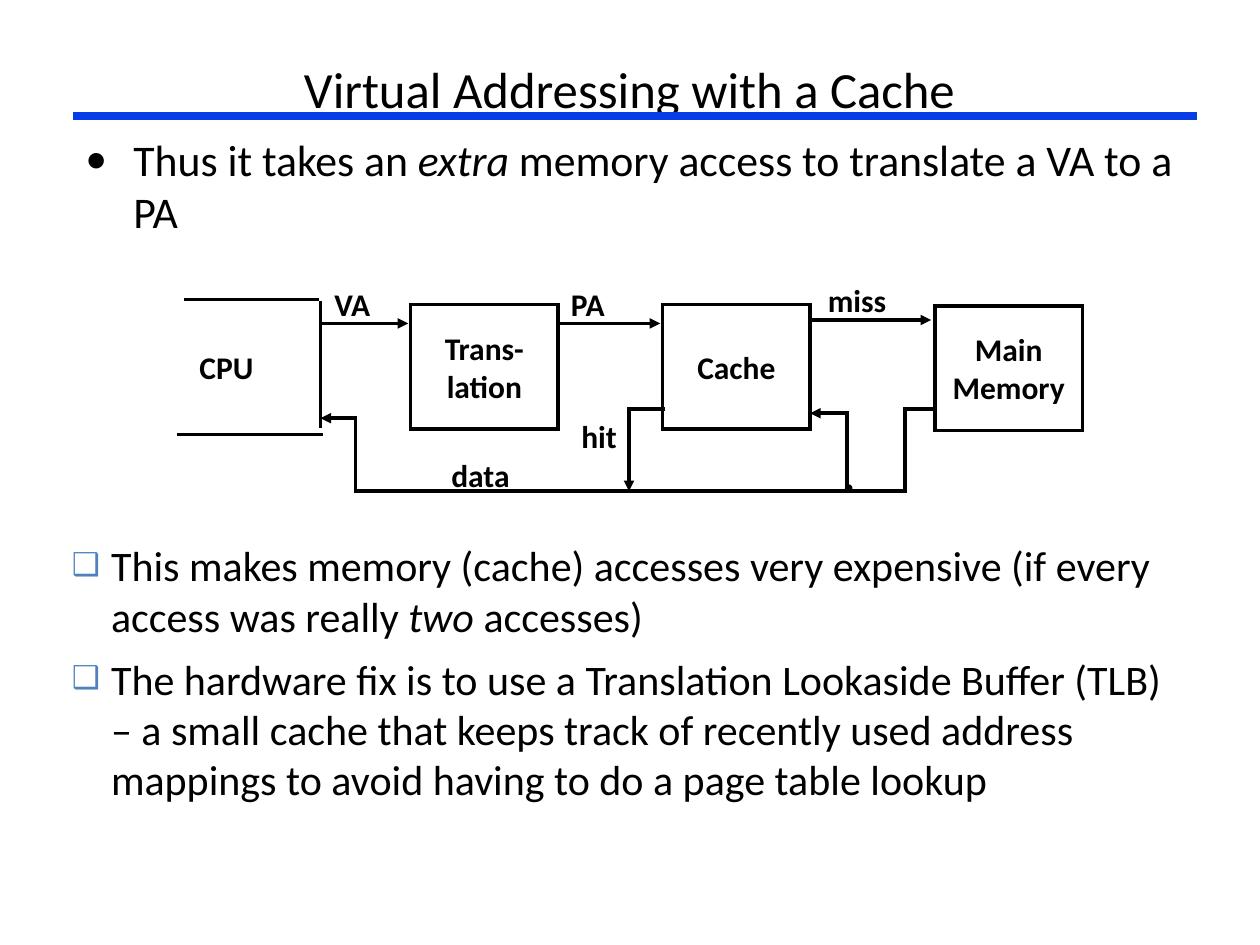
from dataclasses import dataclass
from itertools import pairwise

from lxml import etree
from pptx import Presentation
from pptx.dml.color import RGBColor
from pptx.enum.shapes import MSO_CONNECTOR, MSO_SHAPE
from pptx.enum.text import MSO_ANCHOR, MSO_AUTO_SIZE, PP_ALIGN
from pptx.oxml.ns import qn
from pptx.util import Cm, Pt

STRAIGHT = MSO_CONNECTOR.STRAIGHT
RECT, OVAL = MSO_SHAPE.RECTANGLE, MSO_SHAPE.OVAL
TOP, MIDDLE = MSO_ANCHOR.TOP, MSO_ANCHOR.MIDDLE
LEFT, CENTER = PP_ALIGN.LEFT, PP_ALIGN.CENTER
GROW, FIXED = MSO_AUTO_SIZE.SHAPE_TO_FIT_TEXT, MSO_AUTO_SIZE.NONE


@dataclass(frozen=True)
class Theme:
    """Font, colours and sizes of the slide."""
    font: str = "Calibri"
    ink: str = "000000"
    bar: str = "063DE8"
    accent: str = "4F81BD"
    title: int = 29
    lead: int = 25
    body: int = 24
    label: int = 18
    wire: float = 2
    rule: float = 4.5


THEME = Theme()
WIDE_INSET, TIGHT_INSET = (0.25, 0.13), (0.18, 0.08)


def rgb(value):
    """Return a colour from its hex digits."""
    return RGBColor.from_string(value)


def add_bullet(p, char, indent, color, percent):
    """Give a paragraph a hanging bullet."""
    pPr = p._p.get_or_add_pPr()
    pPr.set("marL", str(Cm(indent)))
    pPr.set("indent", str(-Cm(indent)))
    clr = etree.SubElement(pPr, qn("a:buClr"))
    etree.SubElement(clr, qn("a:srgbClr"), val=color)
    etree.SubElement(pPr, qn("a:buSzPct"), val=str(percent * 1000))
    etree.SubElement(pPr, qn("a:buFont"), typeface=THEME.font)
    etree.SubElement(pPr, qn("a:buChar"), char=char)


def write(sp, text, size, bold=False, align=LEFT, anchor=TOP, inset=WIDE_INSET,
          wrap=True, auto=FIXED, spacing=None, gap=0, bullet=None):
    """Fill a shape with text, one paragraph a line, *italic* between stars."""
    tf = sp.text_frame
    tf.word_wrap, tf.auto_size, tf.vertical_anchor = wrap, auto, anchor
    tf.margin_left = tf.margin_right = Cm(inset[0])
    tf.margin_top = tf.margin_bottom = Cm(inset[1])
    for i, line in enumerate(text.split("\n")):
        p = tf.add_paragraph() if i else tf.paragraphs[0]
        if bullet:
            add_bullet(p, **bullet)
        p.alignment = align
        p.space_before = Pt(gap if i else 0)
        if spacing:
            p.line_spacing = spacing
        for j, part in enumerate(line.split("*")):
            r = p.add_run()
            r.text = part
            r.font.name, r.font.size = THEME.font, Pt(size)
            r.font.bold, r.font.italic = bold, j % 2 == 1
            r.font.color.rgb = rgb(THEME.ink)


def add_line(slide, start, end, color=THEME.ink, width=THEME.wire, arrow=False):
    """Draw a straight line, with an arrowhead at its end if asked."""
    cn = slide.shapes.add_connector(STRAIGHT, *map(Cm, (*start, *end)))
    cn.line.color.rgb, cn.line.width = rgb(color), Pt(width)
    if arrow:
        etree.SubElement(cn.line._get_or_add_ln(), qn("a:tailEnd"), type="triangle")
    etree.SubElement(cn._element.spPr, qn("a:effectLst"))
    return cn


def add_route(slide, x, y, points, arrow=True):
    """Draw a wire through points given relative to x, y."""
    points = [(x + dx, y + dy) for dx, dy in points]
    for start, end in pairwise(points):
        cn = add_line(slide, start, end, arrow=arrow and end == points[-1])
        if len(points) > 2:
            cn.line._get_or_add_ln().set("cap", "sq")


def add_node(slide, kind, x, y, w, h):
    """Add an outlined shape without fill or shadow."""
    sp = slide.shapes.add_shape(kind, Cm(x), Cm(y), Cm(w), Cm(h))
    sp.shadow.inherit = False
    sp.fill.background()
    sp.line.color.rgb, sp.line.width = rgb(THEME.ink), Pt(THEME.wire)
    etree.SubElement(sp.line._get_or_add_ln(), qn("a:miter"), lim="800000")
    return sp


def add_title(slide, x, y, w, h, text):
    """Place the title."""
    sp = slide.shapes.title
    sp.left, sp.top, sp.width, sp.height = map(Cm, (x, y, w, h))
    write(sp, text, THEME.title, align=CENTER, anchor=MIDDLE)


def add_list(slide, x, y, w, h, text, size, **fmt):
    """Place a bulleted list."""
    sp = slide.shapes.add_textbox(*map(Cm, (x, y, w, h)))
    write(sp, text, size, **fmt)


def add_label(slide, x, y, w, text):
    """Place a bold one-line label."""
    sp = slide.shapes.add_textbox(*map(Cm, (x, y, w, 0.79)))
    write(sp, text, THEME.label, bold=True, inset=TIGHT_INSET, wrap=False,
          spacing=0.85)


def add_diagram(slide, x, y):
    """Draw the path from CPU through translation and cache to memory."""
    node_w, node_h = 2.97, 2.51
    trans, cache, memory = 4.72, 9.8, 15.29
    cpu, low, bus = 2.9, 2.54, 4.19

    cpu_sides = (
        [(0.15, 0.33), (2.87, 0.33)],
        [(cpu, 0.36), (cpu, 2.92)],
        [(0, 3.05), (2.95, 3.05)],
    )
    for points in cpu_sides:
        add_route(slide, x, y, points, arrow=False)

    nodes = ((trans, 0.43, "Trans-\nlation"), (cache, 0.43, "Cache"),
             (memory, 0.46, "Main\nMemory"))
    for dx, dy, text in nodes:
        sp = add_node(slide, RECT, x + dx, y + dy, node_w, node_h)
        write(sp, text, THEME.label, bold=True, align=CENTER, anchor=MIDDLE,
              wrap=False)

    routes = (
        [(cpu, 0.81), (trans - 0.05, 0.81)],
        [(trans + node_w, 0.81), (cache - 0.05, 0.81)],
        [(cache + node_w, 0.74), (memory - 0.08, 0.74)],
        [(memory, low), (14.68, low), (14.68, bus), (3.61, bus),
         (3.61, 2.72), (cpu, 2.72)],
        [(13.51, bus), (13.51, 2.62), (cache + node_w, 2.62)],
        [(cache, low), (9.12, low), (9.12, bus)],
    )
    for points in routes:
        add_route(slide, x, y, points)

    dot = add_node(slide, OVAL, x + 13.51, y + bus - 0.1, 0.08, 0.1)
    dot.fill.solid()
    dot.fill.fore_color.rgb = rgb(THEME.accent)

    labels = ((0.28, 1.35, 1.5, "CPU"), (3, 0.08, 1.15, "VA"),
              (7.77, 0.08, 1.1, "PA"), (12.95, 0, 1.6, "miss"),
              (7.98, 2.74, 1.2, "hit"), (5.36, 3.53, 1.6, "data"))
    for dx, dy, w, text in labels:
        add_label(slide, x + dx, y + dy, w, text)


def main():
    """Build and save the slide."""
    prs = Presentation()
    prs.slide_width, prs.slide_height = Cm(25.4), Cm(19.05)
    slide = prs.slides.add_slide(prs.slide_layouts[5])
    add_title(slide, 1.27, 0.76, 22.86, 2.03, "Virtual Addressing with a Cache")
    add_list(slide, 1.47, 2.54, 22.66, 2.16,
             "Thus it takes an *extra* memory access to translate a VA to a PA",
             THEME.lead,
             bullet=dict(char="•", indent=0.97, color=THEME.ink, percent=100))
    add_diagram(slide, 3.56, 5.71)
    add_list(slide, 1.27, 10.8, 22.66, 5.59,
             "This makes memory (cache) accesses very expensive "
             "(if every access was really *two* accesses)\n"
             "The hardware fix is to use a Translation Lookaside Buffer (TLB) "
             "– a small cache that keeps track of recently used address "
             "mappings to avoid having to do a page table lookup",
             THEME.body, inset=TIGHT_INSET, auto=GROW, gap=7.2,
             bullet=dict(char="❑", indent=0.79, color=THEME.accent, percent=75))
    add_line(slide, (1.47, 2.34), (24.13, 2.34), THEME.bar, THEME.rule)
    prs.save("out.pptx")


if __name__ == "__main__":
    main()
